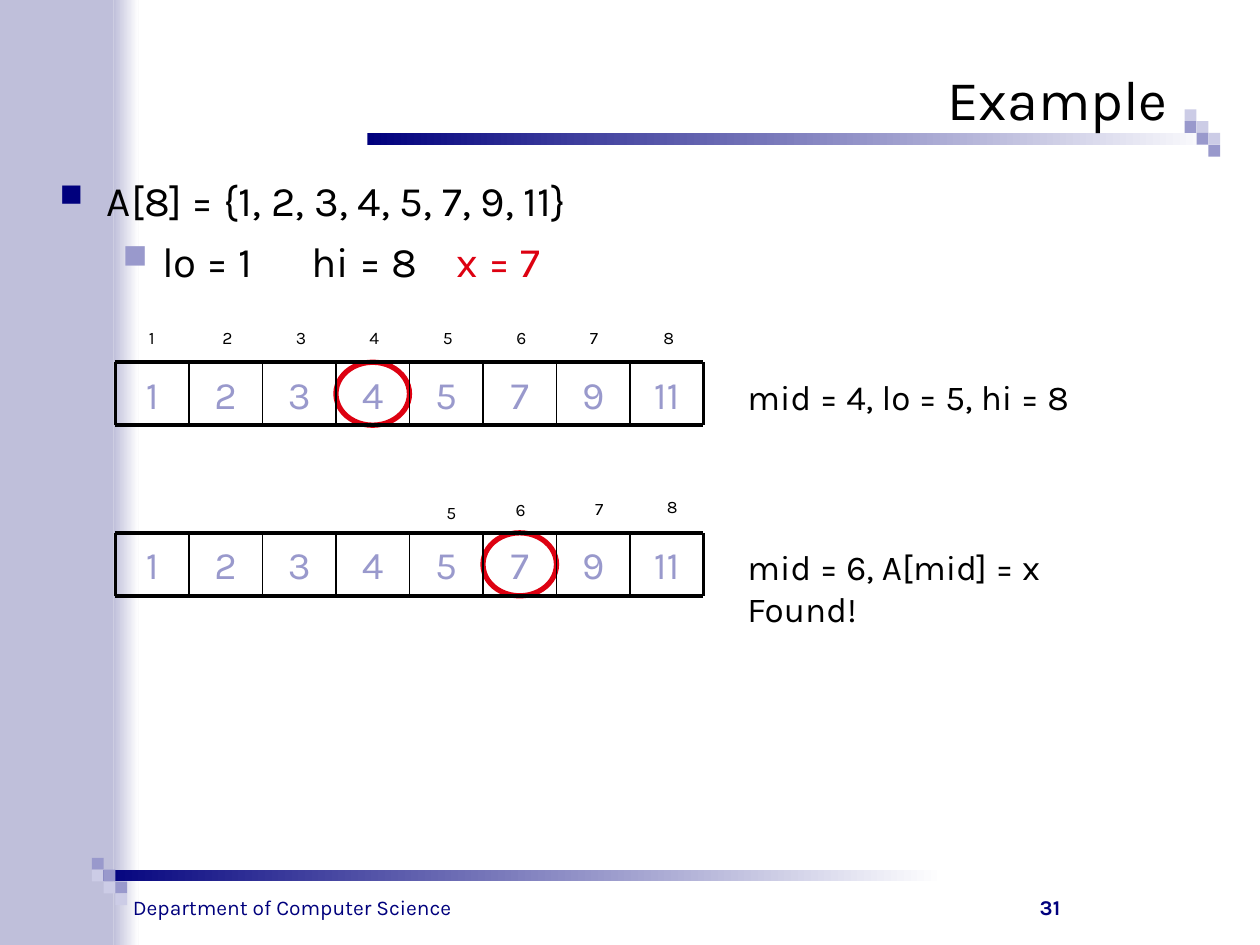
import pptx
import pptx.dml.color
import pptx.enum.shapes
import pptx.enum.text
import pptx.oxml
import pptx.oxml.ns
import pptx.util

Pt = pptx.util.Pt
ALIGN = pptx.enum.text.PP_ALIGN
ANCHOR = pptx.enum.text.MSO_ANCHOR
SHAPE = pptx.enum.shapes.MSO_SHAPE

NAVY, LILAC, PALE, BAND = "00007D", "9999CC", "CCCCE6", "BFBFDA"
BLACK, WHITE, RED = "000000", "FFFFFF", "DD0111"

VALUES = [1, 2, 3, 4, 5, 7, 9, 11]
ARRAY_LEFT, CELL_WIDTH, CELL_HEIGHT = 66, 42, 36
FIRST_TOP, SECOND_TOP = 207, 304.5
PIXEL = 6.75


def color(value):
    return pptx.dml.color.RGBColor.from_string(value)


def add_xml(parent, tag, **attributes):
    element = pptx.oxml.parse_xml(f"<a:{tag} {pptx.oxml.ns.nsdecls('a')}/>")
    for name, value in attributes.items():
        element.set(name, str(value))
    parent.append(element)
    return element


def write(paragraph, text, size=20, ink=BLACK, bold=False, align=None):
    """Add text to a paragraph; each line break in it starts a new line."""
    if align is not None:
        paragraph.alignment = align
    for number, line in enumerate(text.split("\n")):
        if number:
            paragraph.add_line_break()
        run = paragraph.add_run()
        run.text = line
        run.font.name = "Karla"
        run.font.size = Pt(size)
        run.font.bold = bold
        run.font.color.rgb = color(ink)


def set_bullet(paragraph, ink, percent, margin, hanging, tabs=()):
    properties = paragraph._p.get_or_add_pPr()
    properties.set("marL", str(Pt(margin)))
    properties.set("indent", str(-Pt(hanging)))
    add_xml(add_xml(properties, "buClr"), "srgbClr", val=ink)
    add_xml(properties, "buSzPct", val=percent * 1000)
    add_xml(properties, "buChar", char="■")
    if tabs:
        tab_list = add_xml(properties, "tabLst")
        for position in tabs:
            add_xml(tab_list, "tab", pos=Pt(position), algn="l")


class SlideBuilder:
    def __init__(self, slide):
        self.slide = slide

    def shape(self, kind, left, top, width, height, fill=None, fade=None, line=None, weight=3):
        shape = self.slide.shapes.add_shape(kind, Pt(left), Pt(top), Pt(width), Pt(height))
        shape.shadow.inherit = False
        if fade:
            shape.fill.gradient()
            shape.fill.gradient_angle = 0
            for number, stop in enumerate(shape.fill.gradient_stops):
                stop.position = number
                stop.color.rgb = color(fade[number])
        elif fill:
            shape.fill.solid()
            shape.fill.fore_color.rgb = color(fill)
        else:
            shape.fill.background()
        if line:
            shape.line.color.rgb = color(line)
            shape.line.width = Pt(weight)
        else:
            shape.line.fill.background()

    def rule(self, x1, y1, x2, y2, weight):
        line = self.slide.shapes.add_connector(
            pptx.enum.shapes.MSO_CONNECTOR.STRAIGHT, Pt(x1), Pt(y1), Pt(x2), Pt(y2))
        line.line.color.rgb = color(BLACK)
        line.line.width = Pt(weight)
        add_xml(line._element.spPr, "effectLst")

    def text(self, left, top, width, height, text="", anchor=ANCHOR.TOP, wrap=True, **format):
        box = self.slide.shapes.add_textbox(Pt(left), Pt(top), Pt(width), Pt(height))
        frame = box.text_frame
        frame.word_wrap = wrap
        frame.vertical_anchor = anchor
        if text:
            write(frame.paragraphs[0], text, **format)
        return frame

    def pixels(self, left, top, inks):
        """Three stacked pairs of squares, stepping down to the right."""
        for step in range(3):
            for row, ink in enumerate(inks):
                self.shape(SHAPE.RECTANGLE, left + step * PIXEL, top + (step + row) * PIXEL,
                           PIXEL, PIXEL, fill=ink)

    def array(self, top, found):
        """The cells of the array, with the middle one circled."""
        self.shape(SHAPE.OVAL, ARRAY_LEFT + found * CELL_WIDTH, top,
                   CELL_WIDTH, CELL_HEIGHT, line=RED)
        for number, value in enumerate(VALUES):
            self.text(ARRAY_LEFT + number * CELL_WIDTH, top, CELL_WIDTH, CELL_HEIGHT, str(value),
                      anchor=ANCHOR.MIDDLE, size=22.2, ink=LILAC, align=ALIGN.CENTER)
        right, bottom = ARRAY_LEFT + len(VALUES) * CELL_WIDTH, top + CELL_HEIGHT
        for y in (top, bottom):
            self.rule(ARRAY_LEFT, y, right, y, 2.25)
        for number in range(len(VALUES) + 1):
            x = ARRAY_LEFT + number * CELL_WIDTH
            self.rule(x, top, x, bottom, 2.25 if number in (0, len(VALUES)) else 1)

    def index(self, left, top, number):
        self.text(left, top, 18, 19.5, str(number), size=10)


def main():
    presentation = pptx.Presentation()
    presentation.slide_width, presentation.slide_height = Pt(720), Pt(540)
    slide = presentation.slides.add_slide(presentation.slide_layouts[6])
    builder = SlideBuilder(slide)

    # Side band, bars and pixel corners
    builder.shape(SHAPE.RECTANGLE, 64.8, 0, 14.4, 540, fade=(BAND, WHITE))
    builder.shape(SHAPE.RECTANGLE, 0, 0, 64.8, 540, fill=BAND)
    builder.shape(SHAPE.RECTANGLE, 52.5, 497, 487, PIXEL, fade=(NAVY, WHITE))
    builder.pixels(52.5, 490.25, (LILAC, PALE))
    builder.shape(SHAPE.RECTANGLE, 210, 76, 487, PIXEL, fade=(NAVY, WHITE))
    builder.pixels(677, 62.5, (PALE, LILAC))

    # Footer
    builder.text(65.5, 507.6, 203, 21.6, "Department of Computer Science",
                 wrap=False, size=12, ink=NAVY, align=ALIGN.CENTER)
    builder.text(516, 504, 168, 25, "31", anchor=ANCHOR.BOTTOM,
                 size=12, ink=NAVY, bold=True, align=ALIGN.CENTER)

    # Title and starting values
    builder.text(26.5, 8, 648, 71, "Example", anchor=ANCHOR.BOTTOM, size=32, align=ALIGN.RIGHT)
    body = builder.text(27, 96, 650, 108.5)
    array_line = body.paragraphs[0]
    set_bullet(array_line, NAVY, 75, 27, 27)
    write(array_line, "A[8] = {1, 2, 3, 4, 5, 7, 9, 11}", size=24)
    bounds_line = body.add_paragraph()
    set_bullet(bounds_line, LILAC, 80, 58.5, 22.5, tabs=(144, 227))
    bounds_line.space_before = Pt(6)
    write(bounds_line, "lo = 1\thi = 8\t", size=24)
    write(bounds_line, "x = 7", size=24, ink=RED)

    # First step
    builder.array(FIRST_TOP, found=3)
    builder.text(420, 211, 216, 31.5, "mid = 4, lo = 5, hi = 8")
    for number in range(len(VALUES)):
        builder.index(78 + number * CELL_WIDTH, 183.5, number + 1)

    # Second step
    builder.array(SECOND_TOP, found=5)
    builder.text(420, 308, 246, 55.5, "mid = 6, A[mid] = x\nFound!")
    for number, left, top in ((5, 248, 283.5), (6, 287.5, 281.5), (7, 333, 281), (8, 374, 280)):
        builder.index(left, top, number)

    presentation.save("out.pptx")


if __name__ == "__main__":
    main()
